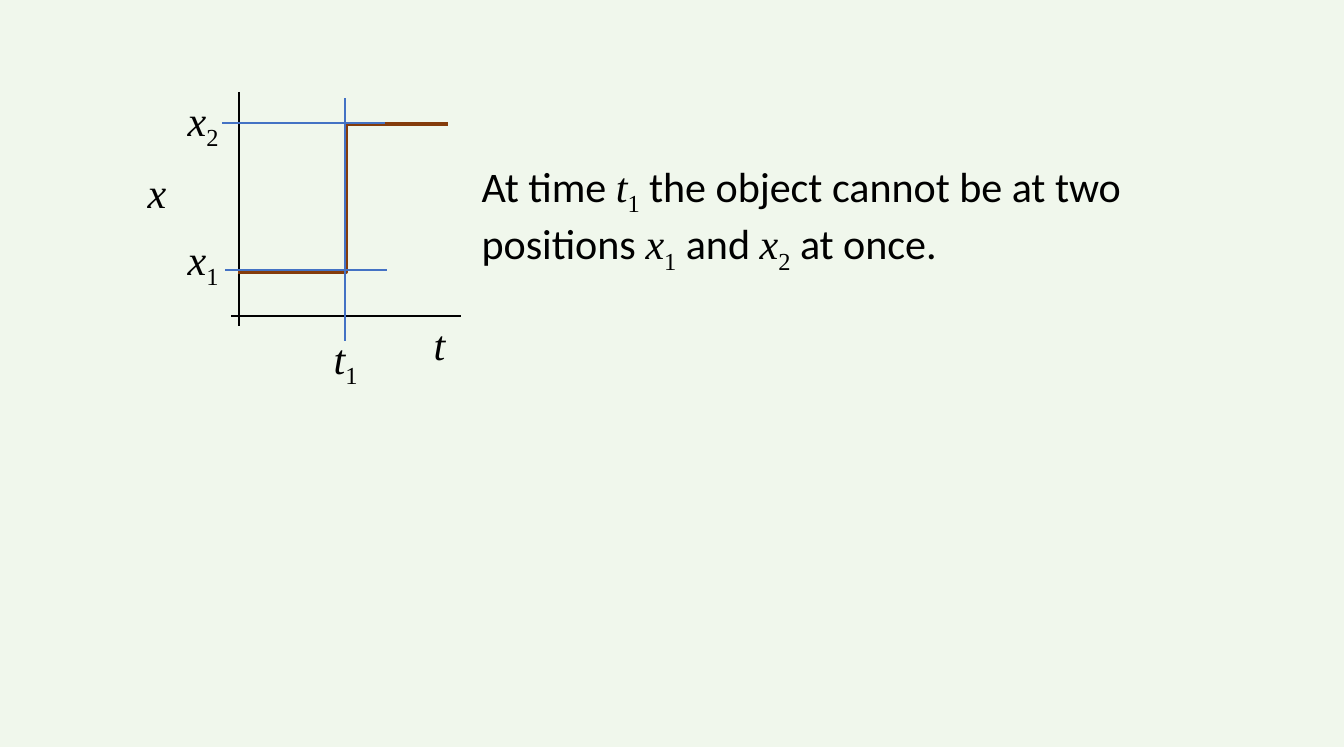
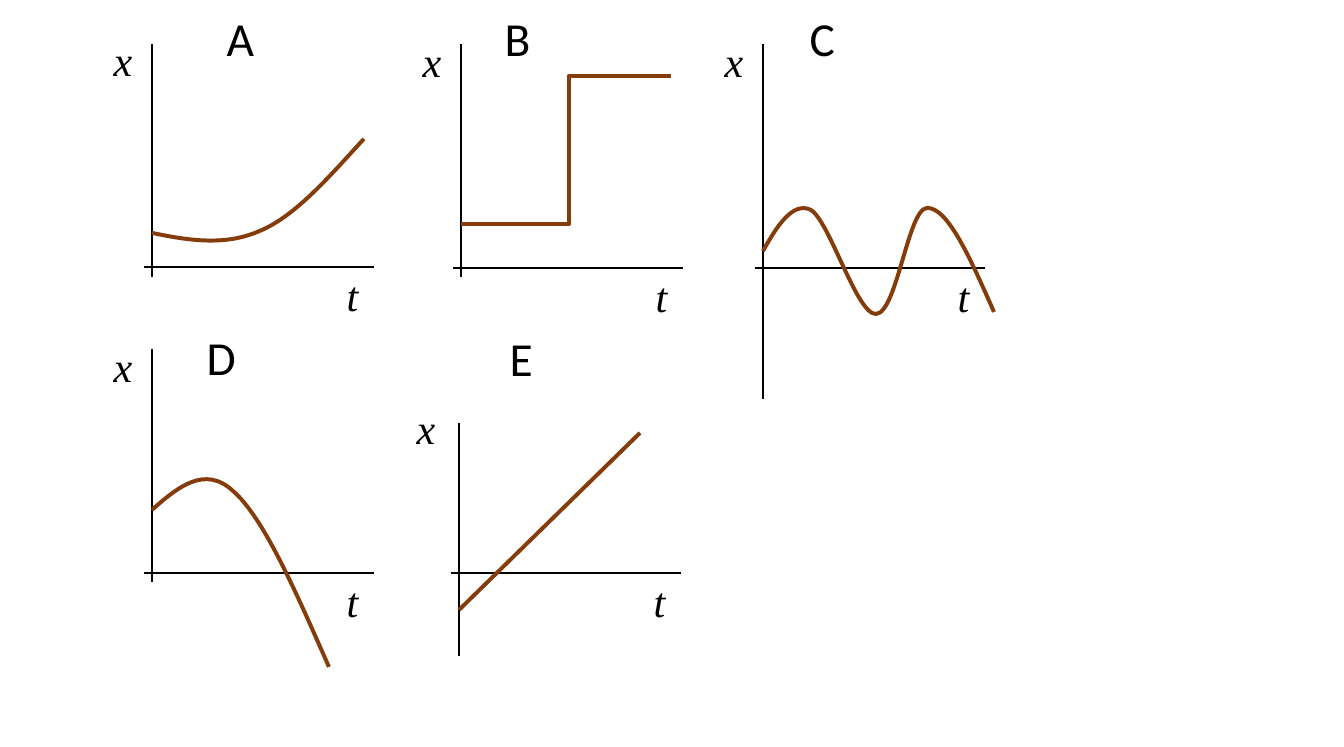
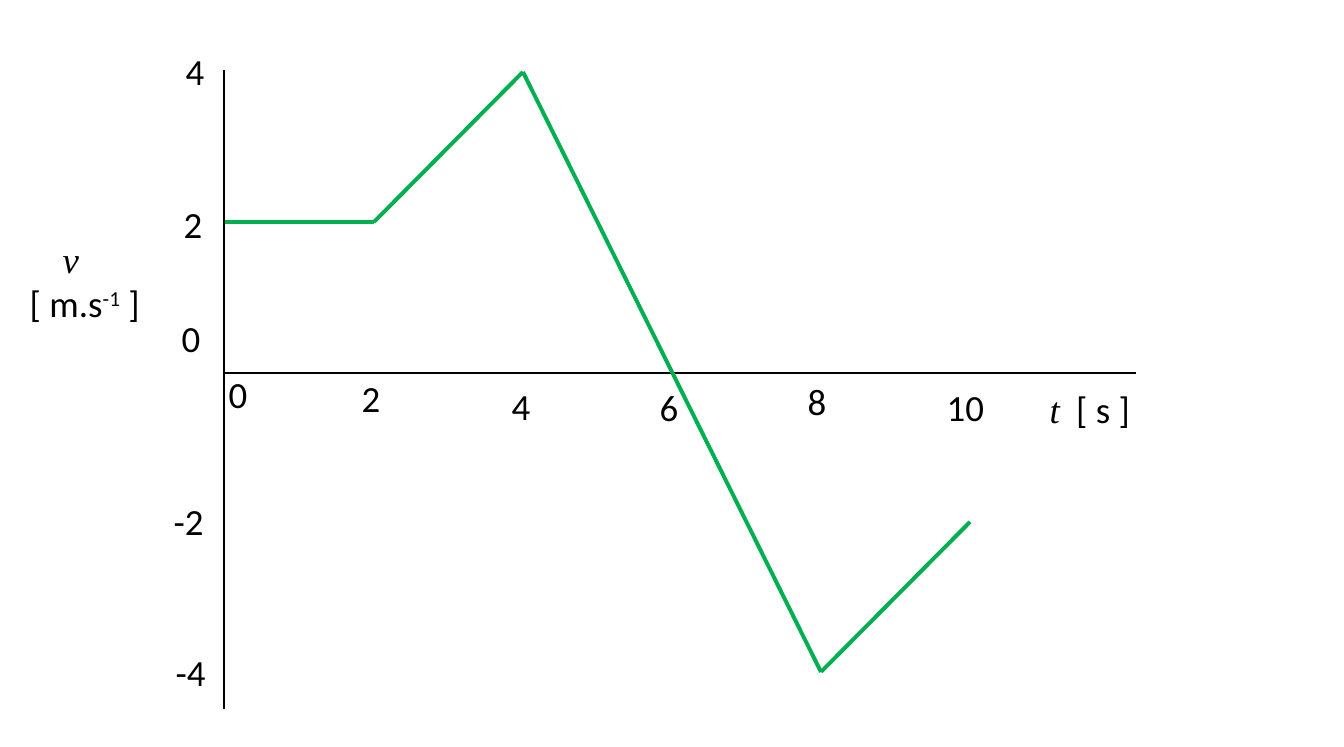
from dataclasses import dataclass
from itertools import pairwise

from lxml.etree import SubElement
from pptx import Presentation
from pptx.dml.color import RGBColor
from pptx.enum.shapes import MSO_CONNECTOR
from pptx.enum.text import MSO_AUTO_SIZE
from pptx.oxml.ns import qn
from pptx.util import Emu, Pt


@dataclass(frozen=True)
class Theme:
    ink: str = "000000"
    motion: str = "843C0B"
    velocity: str = "00B050"
    guide: str = "4472C4"
    paper: str = "FFFFFF"
    pale_green: str = "F0F7EC"
    sans: str = "Calibri"
    serif: str = "Times New Roman"
    tick: int = 14
    body: int = 16
    letter: int = 18
    thin: float = 0.5
    axis: float = 1
    curve: float = 1.5


THEME = Theme()

# Font formats and extra run attributes for each kind of span
STYLES = {
    "word": ({"name": THEME.sans}, {}),
    "wide": ({"name": THEME.sans}, {"spc": "300"}),
    "symbol": ({"name": THEME.serif, "italic": True}, {}),
    "sub": ({"name": THEME.serif}, {"baseline": "-25000"}),
    "super": ({"name": THEME.sans}, {"baseline": "30000"}),
}

# Step of the position graph, relative to its start
STEP = [(0, 0), (108, 0), (108, -148), (210, -148)]


def px(count):
    return Emu(count * 4823)


def rgb(colour):
    return RGBColor.from_string(colour)


def new_page(deck, colour=THEME.paper):
    page = deck.slides.add_slide(deck.slide_layouts[6])
    page.background.fill.solid()
    page.background.fill.fore_color.rgb = rgb(colour)
    return page


def add_line(shapes, start, end, colour=THEME.ink, width=THEME.axis):
    line = shapes.add_connector(MSO_CONNECTOR.STRAIGHT, *map(px, start + end))
    line.line.color.rgb = rgb(colour)
    line.line.width = Pt(width)
    SubElement(line._element.spPr, qn("a:effectLst"))


def add_outline(shapes, points, curved=False):
    """Draw an open outline; if curved, each three points make a Bézier."""
    points = [(px(x), px(y)) for x, y in points]
    builder = shapes.build_freeform(*points[0])
    builder.add_line_segments(points[1:], close=False)
    outline = builder.convert_to_shape()
    outline.shadow.inherit = False
    outline.fill.background()
    outline.line.color.rgb = rgb(THEME.motion)
    outline.line.width = Pt(THEME.curve)
    if curved:
        segments = list(outline._element.iter(qn("a:lnTo")))
        for first in range(0, len(segments), 3):
            trio = segments[first:first + 3]
            bezier = SubElement(trio[0].getparent(), qn("a:cubicBezTo"))
            for segment in trio:
                bezier.append(segment[0])
                segment.getparent().remove(segment)


def add_text(shapes, place, size, *lines, wrap=False):
    """Write lines of (text, style) spans in a box at left, top, width, height."""
    box = shapes.add_textbox(*map(px, place))
    frame = box.text_frame
    frame.word_wrap = wrap
    frame.auto_size = MSO_AUTO_SIZE.SHAPE_TO_FIT_TEXT
    for number, line in enumerate(lines):
        para = frame.add_paragraph() if number else frame.paragraphs[0]
        for text, style in line:
            span = para.add_run()
            span.text = text
            span.font.size = Pt(size)
            span.font.color.rgb = rgb(THEME.ink)
            formats, attributes = STYLES[style]
            for name, value in formats.items():
                setattr(span.font, name, value)
            for name, value in attributes.items():
                span.font._element.set(name, value)
    return box


def add_axes(page, origin, top, bottom, x_label):
    """Draw grouped x and t axes; x_label is the left and top of the x."""
    left, level = origin
    shapes = page.shapes.add_group_shape().shapes
    add_line(shapes, (left, top), (left, bottom))
    add_line(shapes, (left + 222, level), (left - 8, level))
    add_text(shapes, (*x_label, 57, 70), THEME.body, [("x", "symbol")])
    add_text(shapes, (left + 176, level - 7, 51, 70), THEME.body, [("t", "symbol")])


def add_step(page, left, level):
    add_outline(page.shapes, [(left + x, level + y) for x, y in STEP])


def build_explanation(deck):
    page = new_page(deck, THEME.pale_green)
    shapes = page.shapes
    add_axes(page, (239, 316), 92, 326, (129, 157))
    add_step(page, 238, 272)

    # Guides at t1, x2 and x1
    for start, end in [((345, 341), (345, 98)), ((385, 123), (222, 123)),
                       ((387, 270), (225, 270))]:
        add_line(shapes, start, end, THEME.guide, THEME.thin)
    for symbol, index, left, top in [("t", "1", 315, 323), ("x", "1", 169, 224),
                                     ("x", "2", 169, 85)]:
        add_text(shapes, (left, top, 72, 70), THEME.body,
                 [(symbol, "symbol"), (index, "sub")])

    add_text(shapes, (463, 151, 768, 121), THEME.body, [
        ("At time ", "word"), ("t", "symbol"), ("1", "sub"),
        (" the object cannot be at two positions ", "word"),
        ("x", "symbol"), ("1", "sub"), (" and ", "word"),
        ("x", "symbol"), ("2", "sub"), (" at once.", "word")], wrap=True)


def build_choices(deck):
    page = new_page(deck)
    shapes = page.shapes
    for origin, top, bottom, x_label in [
            ((152, 267), 44, 277, (95, 25)),
            ((461, 268), 44, 277, (404, 26)),
            ((763, 268), 44, 399, (706, 26)),
            ((152, 573), 349, 582, (95, 331)),
            ((459, 573), 423, 656, (398, 393))]:
        add_axes(page, origin, top, bottom, x_label)

    # Graphs A, D and C, then the straight ones
    for points in [
            [(152, 233), (190, 241), (226, 246), (260, 231),
             (296, 216), (330, 176), (364, 139)],
            [(152, 510), (178, 487), (205, 465), (233, 491),
             (264, 518), (296, 592), (329, 667)],
            [(763, 251), (777, 226), (793, 201), (811, 210),
             (830, 222), (857, 315), (876, 314),
             (897, 313), (908, 209), (927, 208),
             (948, 207), (971, 260), (994, 312)]]:
        add_outline(shapes, points, curved=True)
    add_step(page, 461, 224)
    add_line(shapes, (459, 610), (640, 433), THEME.motion, THEME.curve)

    for letter, left, top in [("A", 208, 0), ("B", 486, 0), ("C", 791, 0),
                              ("D", 188, 319), ("E", 491, 320)]:
        add_text(shapes, (left, top, 68, 76), THEME.letter, [(letter, "word")])


def build_velocity(deck):
    shapes = new_page(deck).shapes
    add_line(shapes, (224, 373), (1136, 373))
    add_line(shapes, (224, 709), (224, 70))

    # Tick numbers down the v axis, then along the t axis
    for number, left, top in [
            ("4", 167, 39), ("2", 165, 192), ("0", 163, 306),
            ("-2", 155, 489), ("-4", 157, 640),
            ("0", 210, 362), ("2", 343, 366), ("4", 493, 374),
            ("6", 641, 375), ("8", 789, 369), ("10", 928, 375)]:
        width = 60 if len(number) == 1 else 84
        add_text(shapes, (left, top, width, 64), THEME.tick, [(number, "word")])

    # Axis names
    unit = add_text(shapes, (4, 227, 161, 108), THEME.tick, [("v", "symbol")],
                    [("[ m.s", "word"), ("-1", "super"), (" ]", "word")], wrap=True)
    for para, indent in zip(unit.text_frame.paragraphs, (40, 7)):
        para._p.get_or_add_pPr().set("marL", str(px(indent)))
    add_text(shapes, (1031, 377, 126, 64), THEME.tick,
             [("t", "symbol"), (" ", "wide"), ("[ s ]", "word")])

    # Velocity in m/s at each time in s
    readings = [(0, 2), (2, 2), (4, 4), (8, -4), (10, -2)]
    points = [(225 + time * 149 // 2, 372 - speed * 75) for time, speed in readings]
    for start, end in pairwise(points):
        add_line(shapes, start, end, THEME.velocity, THEME.curve)


def main():
    deck = Presentation()
    deck.slide_width, deck.slide_height = px(1344), px(747)
    build_explanation(deck)
    build_choices(deck)
    build_velocity(deck)
    deck.save("out.pptx")


if __name__ == "__main__":
    main()
